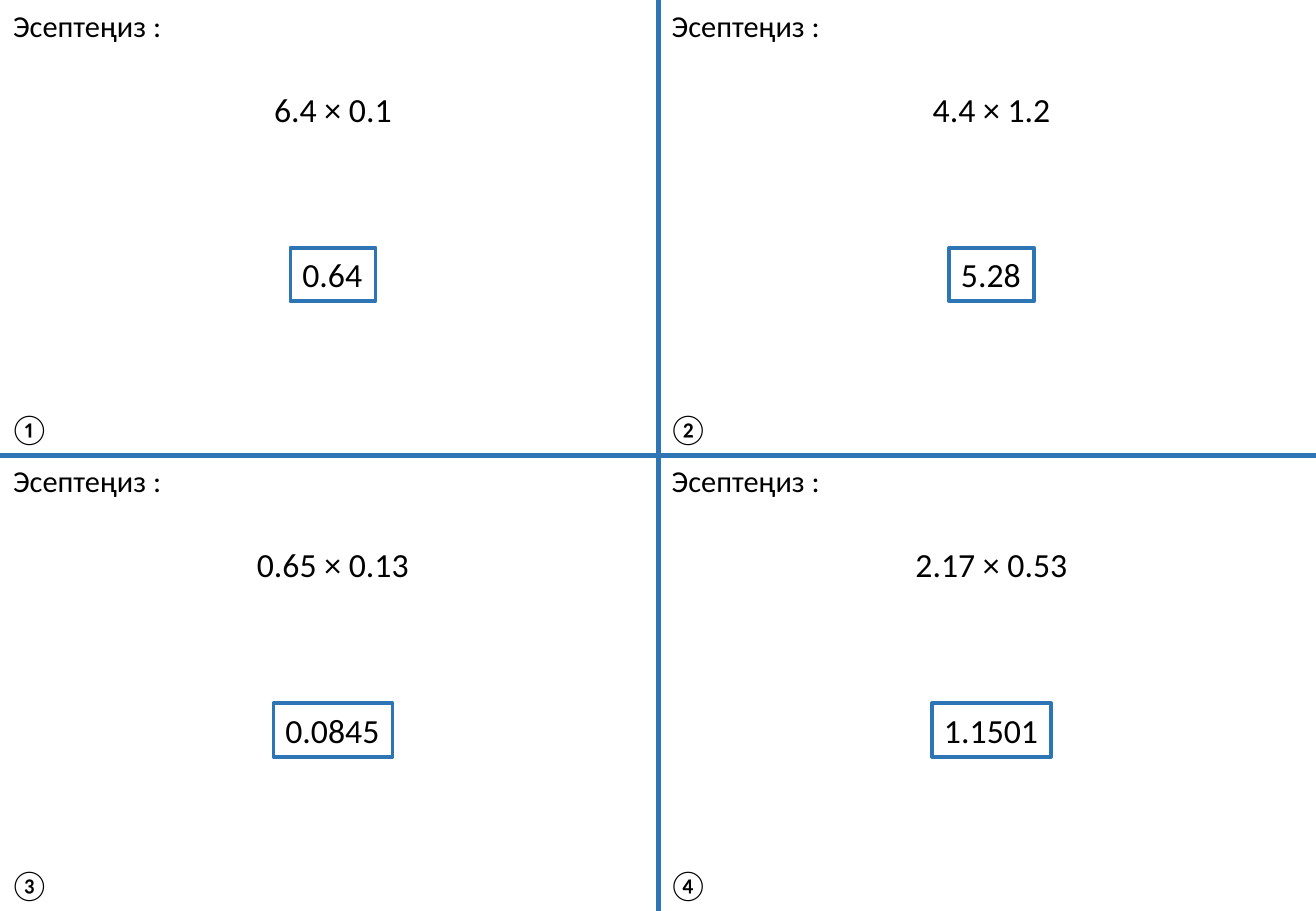
from dataclasses import dataclass
from lxml.etree import SubElement
from pptx import Presentation
from pptx.dml.color import RGBColor
from pptx.enum.shapes import MSO_CONNECTOR, MSO_SHAPE
from pptx.enum.text import MSO_ANCHOR, MSO_AUTO_SIZE, PP_ALIGN
from pptx.oxml.ns import qn
from pptx.util import Pt

SCALE = 9144  # 100 px to the inch
WIDE, HIGH = 1083, 750
CELL_W, CELL_H = 542, 375


@dataclass(frozen=True)
class Theme:
    font: str = "Calibri"
    ink: RGBColor = RGBColor(0, 0, 0)
    paper: RGBColor = RGBColor(255, 255, 255)
    blue: RGBColor = RGBColor(0x2E, 0x75, 0xB6)
    small: int = 18
    large: int = 20
    rule: float = 3
    frame: float = 2.25


THEME = Theme()

# Sum, answer, number sign, sum width, answer width
CARDS = [
    ("6.4 × 0.1", "0.64", "①", 118, 70),
    ("4.4 × 1.2", "5.28", "②", 118, 70),
    ("0.65 × 0.13", "0.0845", "③", 146, 98),
    ("2.17 × 0.53", "1.1501", "④", 146, 98),
]


def px(*sizes):
    return [size * SCALE for size in sizes]


def write(shape, text, size, align=PP_ALIGN.LEFT):
    frame = shape.text_frame
    frame.word_wrap = False
    frame.auto_size = MSO_AUTO_SIZE.SHAPE_TO_FIT_TEXT
    frame.vertical_anchor = MSO_ANCHOR.TOP
    frame.text = text
    line = frame.paragraphs[0]
    line.alignment = align
    font = line.runs[0].font
    font.name, font.size = THEME.font, Pt(size)
    font.color.rgb = THEME.ink


def label(slide, box, text, size, align=PP_ALIGN.LEFT):
    write(slide.shapes.add_textbox(*px(*box)), text, size, align)


def rule(slide, *ends):
    line = slide.shapes.add_connector(MSO_CONNECTOR.STRAIGHT, *px(*ends))
    line.line.color.rgb = THEME.blue
    line.line.width = Pt(THEME.rule)
    SubElement(line._element.spPr, qn("a:effectLst"))


def answer(slide, box, text):
    shape = slide.shapes.add_shape(MSO_SHAPE.RECTANGLE, *px(*box))
    shape.shadow.inherit = False
    shape.fill.solid()
    shape.fill.fore_color.rgb = THEME.paper
    shape.line.color.rgb = THEME.blue
    shape.line.width = Pt(THEME.frame)
    write(shape, text, THEME.large, PP_ALIGN.JUSTIFY)


def card(slide, left, top, task, result, sign, task_w, result_w):
    mid = left + 274
    # Heading and sum
    label(slide, (left + 1, top + 1, 144, 40), "Эсептеңиз :", THEME.small)
    label(slide, (mid - task_w // 2, top + 68, task_w, 44), task,
          THEME.large, PP_ALIGN.CENTER)
    # Answer and card number
    answer(slide, (mid - result_w // 2, top + 204, result_w, 44), result)
    label(slide, (left - 2, top + 333, 54, 40), sign, THEME.small)


def main():
    deck = Presentation()
    deck.slide_width, deck.slide_height = px(WIDE, HIGH)
    slide = deck.slides.add_slide(deck.slide_layouts[6])
    # Lines between the cards
    rule(slide, CELL_W, 0, CELL_W, HIGH)
    rule(slide, 0, CELL_H, WIDE, CELL_H)
    # Two by two grid of cards
    for at, parts in enumerate(CARDS):
        row, col = divmod(at, 2)
        card(slide, col * CELL_W, row * CELL_H, *parts)
    deck.save("out.pptx")


if __name__ == "__main__":
    main()
